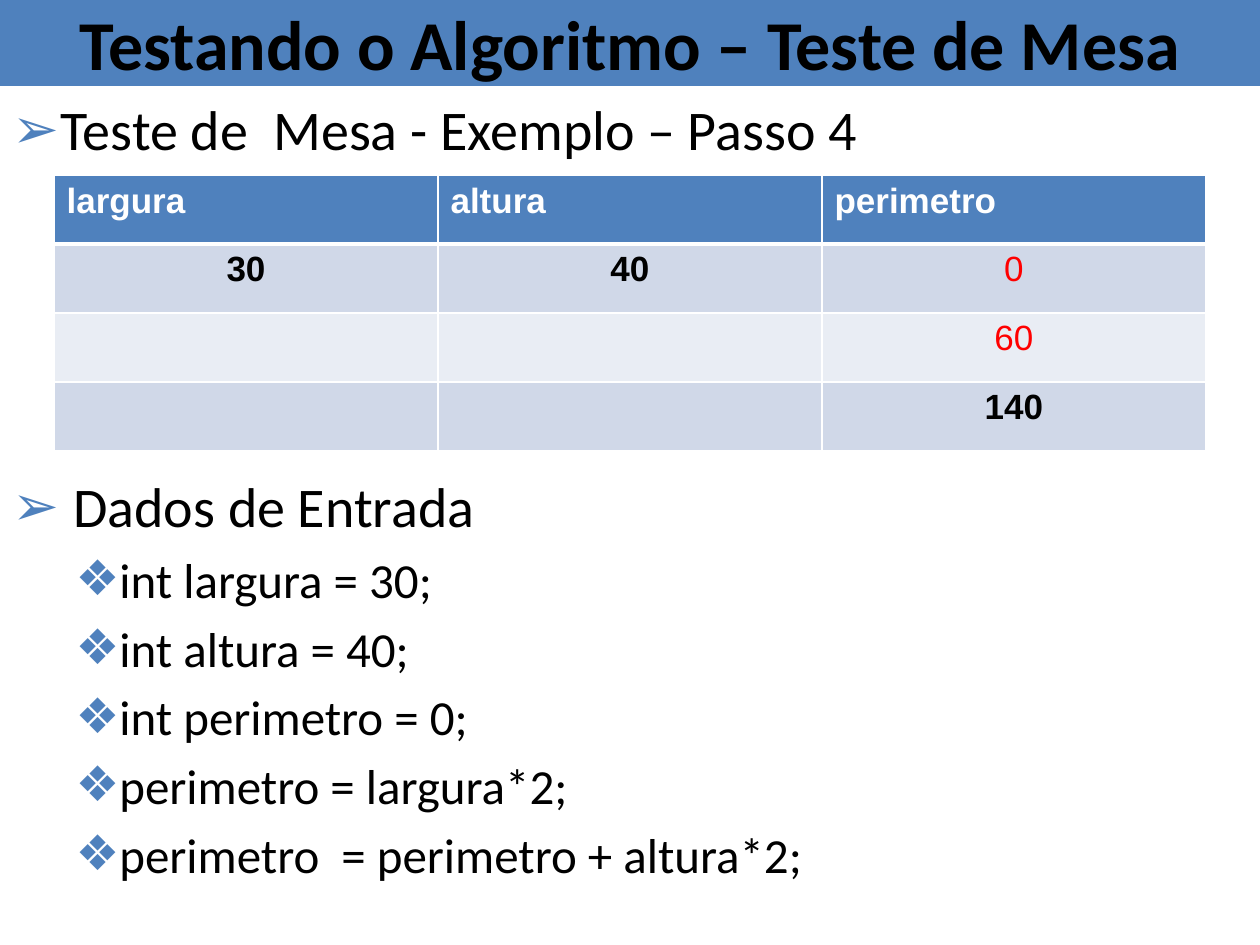
from lxml.etree import SubElement
from pptx import Presentation
from pptx.dml.color import RGBColor
from pptx.enum.text import MSO_ANCHOR, MSO_AUTO_SIZE, PP_ALIGN
from pptx.oxml.ns import qn
from pptx.util import Emu, Pt

COLORS = {
    "blue": "4F81BD",
    "band": "D0D8E8",
    "light": "E9EDF4",
    "white": "FFFFFF",
    "black": "000000",
    "red": "FF0000",
}
PX_PER_INCH = 126
ROWS = [
    ["largura", "altura", "perimetro"],
    ["30", "40", "0"],
    ["", "", "60"],
    ["", "", "140"],
]
PENDING_VALUES = {"0", "60"}
STEP = [("Teste de  Mesa - Exemplo – Passo 4", 0)]
INPUTS = [
    (" Dados de Entrada", 0),
    ("int largura = 30;", 1),
    ("int altura = 40;", 1),
    ("int perimetro = 0;", 1),
    ("perimetro = largura*2;", 1),
    ("perimetro  = perimetro + altura*2;", 1),
]
LEVELS = [
    {"bullet": "➢", "size": 32, "margin": 48, "indent": -48, "line": 0.9},
    {"bullet": "❖", "size": 28, "margin": 102, "indent": -39, "line": 1.0},
]


def px(length):
    """Turn px into EMU."""
    return Emu(round(length * 914400 / PX_PER_INCH))


def color(name):
    """Return a named colour."""
    return RGBColor.from_string(COLORS[name])


def place(shape, box):
    """Move a shape to a box of left, top, width and height."""
    shape.left, shape.top, shape.width, shape.height = map(px, box)


def write(paragraph, text, size=20, font="Calibri", fill="black", bold=False, align=PP_ALIGN.LEFT):
    """Write one formatted run into a paragraph."""
    paragraph.alignment = align
    run = paragraph.add_run()
    run.text = text
    run.font.size = Pt(size)
    run.font.name = font
    run.font.bold = bold
    run.font.color.rgb = color(fill)


def add_bullet(paragraph, level):
    """Give a paragraph the bullet, indent and spacing of its level."""
    paragraph.line_spacing = level["line"]
    paragraph.space_before = Pt(level["size"] / 5)
    properties = paragraph._p.get_or_add_pPr()
    properties.set("marL", str(px(level["margin"])))
    properties.set("indent", str(px(level["indent"])))
    bullet_color = SubElement(properties, qn("a:buClr"))
    SubElement(bullet_color, qn("a:srgbClr"), val=COLORS["blue"])
    SubElement(properties, qn("a:buChar"), char=level["bullet"])


def set_border(cell, side, points):
    """Draw a white border on one side of a cell."""
    line = SubElement(cell._tc.get_or_add_tcPr(), qn(f"a:ln{side}"), w=str(Pt(points)))
    SubElement(SubElement(line, qn("a:solidFill")), qn("a:srgbClr"), val=COLORS["white"])


def build_title(title, box, text):
    """Fill the title band."""
    place(title, box)
    title.fill.solid()
    title.fill.fore_color.rgb = color("blue")
    frame = title.text_frame
    frame.auto_size = MSO_AUTO_SIZE.NONE
    frame.vertical_anchor = MSO_ANCHOR.MIDDLE
    write(frame.paragraphs[0], text, size=40, bold=True, align=PP_ALIGN.CENTER)


def build_list(body, box, items):
    """Fill a body placeholder with bulleted items."""
    place(body, box)
    frame = body.text_frame
    frame.auto_size = MSO_AUTO_SIZE.NONE
    frame.vertical_anchor = MSO_ANCHOR.TOP
    for index, (text, depth) in enumerate(items):
        paragraph = frame.add_paragraph() if index else frame.paragraphs[0]
        paragraph.level = depth
        write(paragraph, text, size=LEVELS[depth]["size"])
        add_bullet(paragraph, LEVELS[depth])


def build_trace_table(slide, box, rows):
    """Add the table that traces the variables."""
    table = slide.shapes.add_table(len(rows), len(rows[0]), *map(px, box)).table
    for row_index, values in enumerate(rows):
        header = row_index == 0
        background = "blue" if header else "band" if row_index % 2 else "light"
        for column_index, text in enumerate(values):
            cell = table.cell(row_index, column_index)
            for side in "LRTB":
                thick = (row_index, side) in {(0, "B"), (1, "T")}
                set_border(cell, side, 3 if thick else 1)
            cell.fill.solid()
            cell.fill.fore_color.rgb = color(background)
            if text:
                pending = text in PENDING_VALUES
                write(
                    cell.text_frame.paragraphs[0],
                    text,
                    font="Arial",
                    fill="white" if header else "red" if pending else "black",
                    bold=not pending,
                    align=PP_ALIGN.LEFT if header else PP_ALIGN.CENTER,
                )


def main():
    """Build and save the slide."""
    presentation = Presentation()
    presentation.slide_width, presentation.slide_height = px(1260), px(945)
    slide = presentation.slides.add_slide(presentation.slide_layouts.get_by_name("Two Content"))
    title, step, inputs = list(slide.placeholders)[:3]
    build_title(title, (0, 0, 1260, 86), "Testando o Algoritmo – Teste de Mesa")
    build_list(step, (0, 96, 1260, 79), STEP)
    build_trace_table(slide, (54, 175, 1152, 276), ROWS)
    build_list(inputs, (0, 473, 1260, 472), INPUTS)
    presentation.save("out.pptx")


if __name__ == "__main__":
    main()
